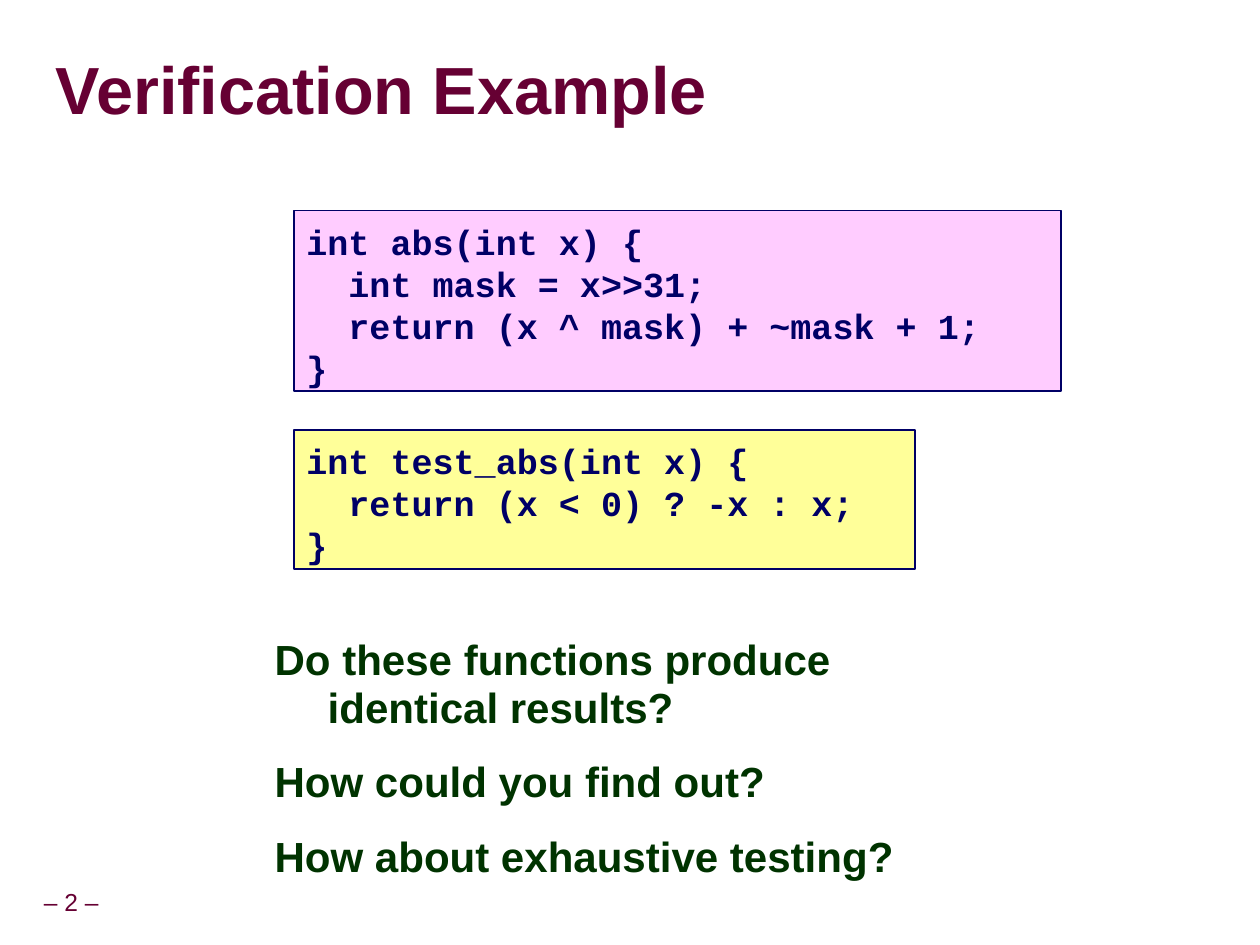
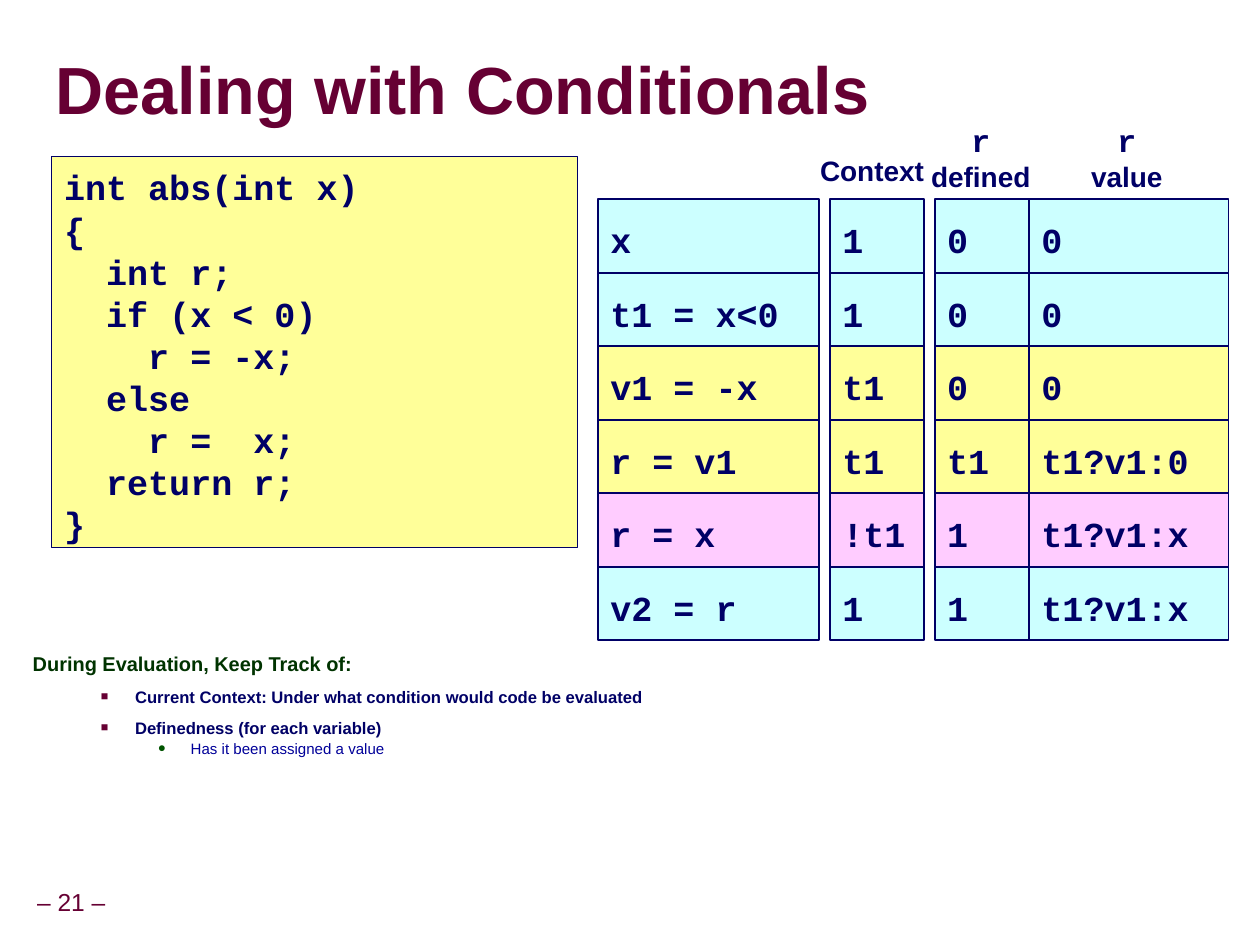
"""Build two lecture slides on verifying code with conditionals."""
from lxml.etree import SubElement
from pptx import Presentation
from pptx.dml.color import RGBColor
from pptx.enum.shapes import MSO_SHAPE
from pptx.enum.text import MSO_ANCHOR, MSO_AUTO_SIZE, PP_ALIGN
from pptx.oxml.ns import qn
from pptx.util import Cm, Pt

COLORS = {
    "wine": "660033", "navy": "000066", "green": "003300", "leaf": "005400",
    "blue": "000099", "pink": "FFCCFF", "yellow": "FFFF99", "cyan": "CCFFFF",
    "shadow": "969696",
}
STYLES = {
    "title": {"name": "Arial", "size": 38, "bold": True, "color": "wine"},
    "number": {"name": "Arial", "size": 14, "bold": False, "color": "wine",
               "alignment": PP_ALIGN.CENTER},
    "code": {"name": "Courier New", "size": 20, "bold": True, "color": "navy",
             "line_spacing": Pt(24)},
    "question": {"name": "Arial", "size": 24, "bold": True, "color": "green",
                 "line_spacing": Pt(27.4), "space_before": Pt(15), "indent": (1.07, -1.07)},
    "heading": {"name": "Arial", "size": 11.4, "bold": True, "color": "green",
                "line_spacing": Pt(10.3), "indent": (1.07, -1.07)},
    "point": {"name": "Arial", "size": 9.5, "bold": True, "color": "navy",
              "line_spacing": Pt(11.4), "space_before": Pt(6.2), "indent": (2.06, -0.69),
              "bullet": ("■", "wine", 75)},
    "detail": {"name": "Arial", "size": 8.6, "bold": False, "color": "blue",
               "line_spacing": Pt(9), "space_before": Pt(2.2), "indent": (3.18, -0.66),
               "bullet": ("●", "leaf", 90)},
    "column": {"name": "Arial", "size": 16, "bold": True, "color": "navy",
               "alignment": PP_ALIGN.CENTER},
    "variable": {"name": "Courier New", "size": 18, "bold": True, "color": "navy",
                 "alignment": PP_ALIGN.CENTER},
}


def write(shape, lines, margins=(0.25, 0.13, 0.25, 0.13), anchor=MSO_ANCHOR.TOP, wrap=True):
    """Fill a shape with (text, style name) lines."""
    frame = shape.text_frame
    frame.word_wrap = wrap
    frame.auto_size = MSO_AUTO_SIZE.NONE
    frame.vertical_anchor = anchor
    for side, margin in zip(("left", "top", "right", "bottom"), margins):
        setattr(frame, f"margin_{side}", Cm(margin))
    for index, (text, style_name) in enumerate(lines):
        style = STYLES[style_name]
        paragraph = frame.add_paragraph() if index else frame.paragraphs[0]
        paragraph.alignment = style.get("alignment", PP_ALIGN.LEFT)
        paragraph.line_spacing = style.get("line_spacing", 1.0)
        paragraph.space_before = style.get("space_before", Pt(0)) if index else Pt(0)
        run = paragraph.add_run()
        run.text = text
        for attribute in ("name", "bold"):
            setattr(run.font, attribute, style[attribute])
        run.font.size = Pt(style["size"])
        run.font.color.rgb = RGBColor.from_string(COLORS[style["color"]])
        properties = paragraph._p.get_or_add_pPr()
        if "indent" in style:
            for key, length in zip(("marL", "indent"), style["indent"]):
                properties.set(key, str(Cm(length)))
        if "bullet" in style:
            character, color, percent = style["bullet"]
            bullet_color = SubElement(properties, qn("a:buClr"))
            SubElement(bullet_color, qn("a:srgbClr"), val=COLORS[color])
            SubElement(properties, qn("a:buSzPct"), val=str(percent * 1000))
            SubElement(properties, qn("a:buFont"), typeface="Arial")
            SubElement(properties, qn("a:buChar"), char=character)


def add_code_box(slide, box, fill, code, **layout):
    """Draw an outlined rectangle holding lines of code."""
    shape = slide.shapes.add_shape(MSO_SHAPE.RECTANGLE, *map(Cm, box))
    shape.shadow.inherit = False
    shape.fill.solid()
    shape.fill.fore_color.rgb = RGBColor.from_string(COLORS[fill])
    shape.line.color.rgb = RGBColor.from_string(COLORS["navy"])
    shape.line.width = Pt(1)
    write(shape, [(line, "code") for line in code.split("\n")], **layout)


presentation = Presentation()
presentation.slide_width = Cm(25.37)
presentation.slide_height = Cm(19.02)

slides = []
for title_text, number in (("Verification Example", 2), ("Dealing with Conditionals", 21)):
    slide = presentation.slides.add_slide(presentation.slide_layouts[5])
    slides.append(slide)
    title = slide.shapes.title
    title.left, title.top, title.width, title.height = map(Cm, (1.12, 0.69, 24.18, 2.16))
    write(title, [(title_text, "title")], margins=(0, 0, 0, 0), anchor=MSO_ANCHOR.MIDDLE)
    run_properties = title.text_frame.paragraphs[0].runs[0].font._element
    effects = run_properties.makeelement(qn("a:effectLst"))
    run_properties.find(qn("a:solidFill")).addnext(effects)
    shadow = SubElement(effects, qn("a:outerShdw"), dist="50800", dir="2700000")
    SubElement(shadow, qn("a:srgbClr"), val=COLORS["shadow"])
    number_box = slide.shapes.add_textbox(*map(Cm, (0, 17.75, 2.87, 0.79)))
    write(number_box, [(f"– {number} –", "number")], margins=(0.13,) * 4,
          anchor=MSO_ANCHOR.MIDDLE, wrap=False)

example_slide, conditionals_slide = slides
CODE_MARGINS = (0.25, 0.19, 0.25, 0.13)
CELL_MARGINS = (0.25, 0.27, 0.1, 0.13)

code_boxes = (
    (example_slide, (5.92, 4.24, 15.44, 3.63), "pink",
     "int abs(int x) {\n  int mask = x>>31;\n  return (x ^ mask) + ~mask + 1;\n}"),
    (example_slide, (5.92, 8.66, 12.5, 2.79), "yellow",
     "int test_abs(int x) {\n  return (x < 0) ? -x : x;\n}"),
    (conditionals_slide, (1.04, 3.15, 10.59, 7.87), "yellow",
     "int abs(int x)\n{\n  int r;\n  if (x < 0)\n    r = -x;\n  else\n"
     "    r =  x;\n  return r;\n}"),
)
for slide, box, fill, code in code_boxes:
    add_code_box(slide, box, fill, code, margins=CODE_MARGINS)

questions = example_slide.shapes.add_textbox(*map(Cm, (5.28, 12.67, 14.76, 5.28)))
write(questions, [(text, "question") for text in (
    "Do these functions produce identical results?",
    "How could you find out?",
    "How about exhaustive testing?",
)])

tracking = conditionals_slide.shapes.add_textbox(*map(Cm, (0.41, 13.11, 24.13, 2.36)))
write(tracking, [
    ("During Evaluation, Keep Track of:", "heading"),
    ("Current Context: Under what condition would code be evaluated", "point"),
    ("Definedness (for each variable)", "point"),
    ("Has it been assigned a value", "detail"),
])

columns = ((12.04, 4.45), (16.71, 1.9), (18.82, 1.9), (20.72, 4.02))
evaluation_rows = (
    ("cyan", "x", "1", "0", "0"),
    ("cyan", "t1 = x<0", "1", "0", "0"),
    ("yellow", "v1 = -x", "t1", "0", "0"),
    ("yellow", "r = v1", "t1", "t1", "t1?v1:0"),
    ("pink", "r = x", "!t1", "1", "t1?v1:x"),
    ("cyan", "v2 = r", "1", "1", "t1?v1:x"),
)
GRID_TOP, ROW_HEIGHT = 4.01, 1.48
for row, (fill, *cells) in enumerate(evaluation_rows):
    for (left, width), text in zip(columns, cells):
        add_code_box(conditionals_slide, (left, GRID_TOP + row * ROW_HEIGHT, width, ROW_HEIGHT),
                     fill, text, margins=CELL_MARGINS, anchor=MSO_ANCHOR.MIDDLE)

column_headers = (
    ((16.38, 2.95, 2.36, 0.86), [("Context", "column")]),
    ((18.62, 2.31, 2.26, 1.55), [("r", "variable"), ("defined", "column")]),
    ((21.84, 2.31, 1.7, 1.55), [("r", "variable"), ("value", "column")]),
)
for box, lines in column_headers:
    header = conditionals_slide.shapes.add_textbox(*map(Cm, box))
    write(header, lines, margins=(0.13,) * 4, wrap=False)

presentation.save("out.pptx")
